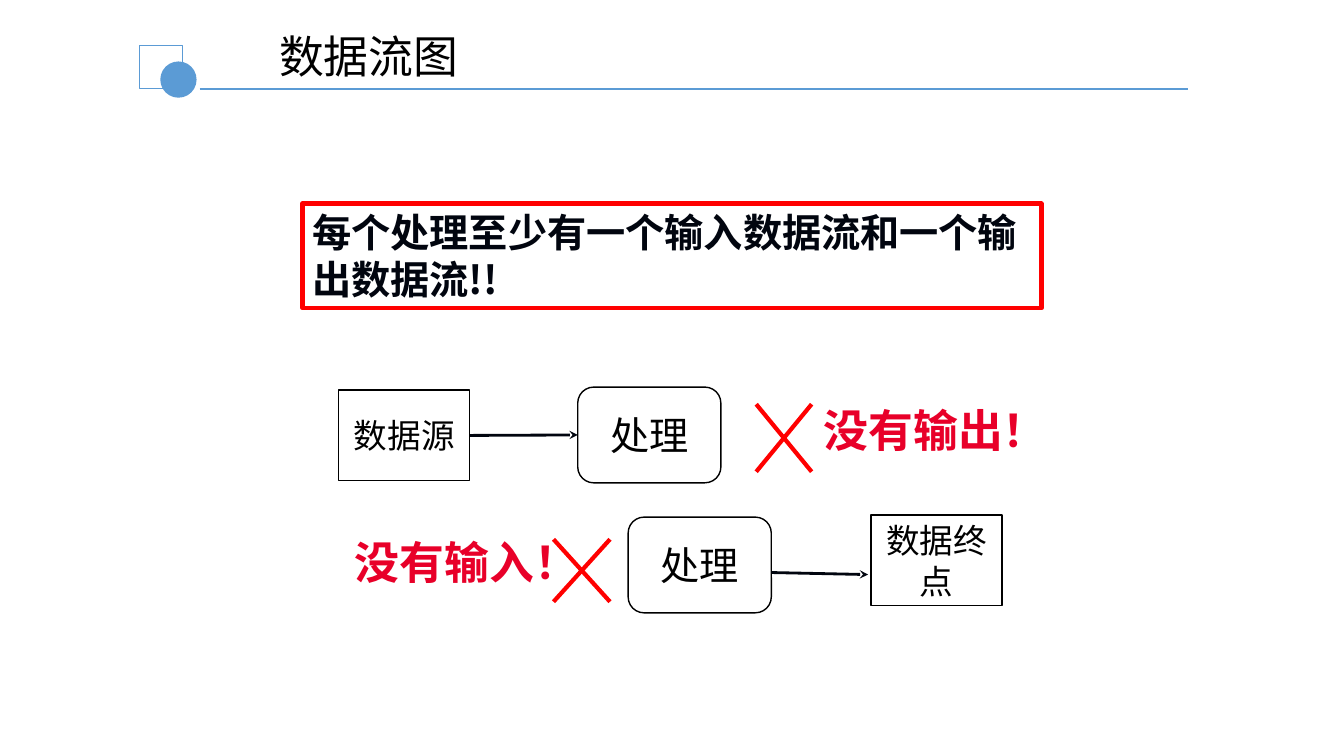
from pptx import Presentation
from pptx import util as u
from pptx.dml.color import RGBColor
from pptx.enum import shapes, text
from pptx.oxml.ns import qn
from lxml import etree

BLACK = RGBColor(0x00, 0x00, 0x00)
INK = RGBColor(0x01, 0x05, 0x0F)
WHITE = RGBColor(0xFF, 0xFF, 0xFF)
RED = RGBColor(0xFF, 0x00, 0x00)
CRIMSON = RGBColor(0xE8, 0x00, 0x29)
BLUE = RGBColor(0x5B, 0x9B, 0xD5)
LATIN, CJK = "Calibri", "Noto Sans CJK SC"
RECT = shapes.MSO_SHAPE.RECTANGLE
ROUNDED = shapes.MSO_SHAPE.ROUNDED_RECTANGLE
OVAL = shapes.MSO_SHAPE.OVAL

PROCESS_W, PROCESS_H = 1.42, 0.95
ENTITY_W, ENTITY_H = 1.3, 0.9


def inches(*values):
    return [u.Inches(v) for v in values]


def write(sp, words, size, color, font=LATIN, bold=False, grow=False):
    tf = sp.text_frame
    tf.word_wrap = True
    if grow:
        tf.auto_size = text.MSO_AUTO_SIZE.SHAPE_TO_FIT_TEXT
    p = tf.paragraphs[0]
    r = p.add_run()
    r.text = words
    r.font.size = u.Pt(size)
    r.font.name = font
    r.font.bold = bold
    r.font.color.rgb = color
    etree.SubElement(r._r.get_or_add_rPr(), qn("a:ea")).set("typeface", CJK)
    return tf


def add_box(s, kind, box, fill=None, line=None, width=1):
    sp = s.shapes.add_shape(kind, *inches(*box))
    sp.shadow.inherit = False
    if fill is None:
        sp.fill.background()
    else:
        sp.fill.solid()
        sp.fill.fore_color.rgb = fill
    if line is None:
        sp.line.fill.background()
    else:
        sp.line.color.rgb = line
        sp.line.width = u.Pt(width)
    return sp


def add_line(s, start, end, color, width, arrow=False):
    line = s.shapes.add_connector(shapes.MSO_CONNECTOR.STRAIGHT,
                                  *inches(*start, *end))
    line.line.color.rgb = color
    line.line.width = u.Pt(width)
    if arrow:
        ln = line.line._get_or_add_ln()
        etree.SubElement(ln, qn("a:tailEnd")).set("type", "stealth")
    etree.SubElement(line._element.spPr, qn("a:effectLst"))
    return line


def add_label(s, box, words, color, **style):
    sp = s.shapes.add_textbox(*inches(*box))
    write(sp, words, 32, color, grow=True, **style)


def add_node(s, kind, box, words, size):
    sp = add_box(s, kind, box, WHITE, BLACK)
    tf = write(sp, words, size, BLACK)
    tf.vertical_anchor = text.MSO_ANCHOR.MIDDLE
    tf.paragraphs[0].alignment = text.PP_ALIGN.CENTER
    return sp


def add_process(s, x, y):
    return add_node(s, ROUNDED, (x, y, PROCESS_W, PROCESS_H), "处理", 28)


def add_entity(s, x, y, words):
    return add_node(s, RECT, (x, y, ENTITY_W, ENTITY_H), words, 24)


def add_cross(s, x, y, w, h):
    add_line(s, (x, y), (x + w, y + h), RED, 3)
    add_line(s, (x + w, y), (x, y + h), RED, 3)


def add_header(s, x, y, w):
    """Title with a square-and-dot emblem over a rule; y is the emblem's top."""
    add_line(s, (x + 0.6, y + 0.43), (x + w, y + 0.43), BLUE, 1.25)
    add_box(s, RECT, (x, y, 0.43, 0.43), line=BLUE, width=0.75)
    add_box(s, OVAL, (x + 0.21, y + 0.16, 0.36, 0.36), fill=BLUE)
    add_label(s, (x + 1.29, y - 0.21, 4.95, 0.65), "数据流图", BLACK)


def add_rule_banner(s, box):
    banner = add_box(s, RECT, box, line=RED, width=3)
    tf = write(banner, "每个处理至少有一个输入数据流和一个输出数据流!!", 28, INK,
               font=CJK, bold=True, grow=True)
    tf.vertical_anchor = text.MSO_ANCHOR.TOP
    tf.paragraphs[0].alignment = text.PP_ALIGN.LEFT


def add_missing_output(s, x, y):
    """Source feeding a process that has no output."""
    source = add_entity(s, x, y + 0.03, "数据源")
    process = add_process(s, x + 2.37, y)
    mid = y + PROCESS_H / 2
    flow = add_line(s, (x + ENTITY_W, mid), (x + 2.37, mid), INK, 2, arrow=True)
    flow.begin_connect(source, 3)
    flow.end_connect(process, 1)
    add_cross(s, x + 4.14, y + 0.17, 0.55, 0.67)
    add_label(s, (x + 4.71, y + 0.11, 2.47, 0.64), "没有输出！", CRIMSON,
              font=CJK, bold=True)


def add_missing_input(s, x, y):
    """Process without input feeding a sink."""
    add_label(s, (x, y + 0.13, 2.57, 0.64), "没有输入！", CRIMSON,
              font=CJK, bold=True)
    add_cross(s, x + 2.07, y + 0.22, 0.56, 0.62)
    add_process(s, x + 2.81, y)
    add_entity(s, x + 5.22, y - 0.02, "数据终点")
    add_line(s, (x + 4.23, y + 0.55), (x + 5.19, y + 0.57), INK, 2, arrow=True)


def main():
    prs = Presentation()
    prs.slide_width, prs.slide_height = inches(13.33, 7.5)
    s = prs.slides.add_slide(prs.slide_layouts[6])
    add_header(s, 1.38, 0.45, 10.4)
    add_rule_banner(s, (3, 2.02, 7.33, 1.04))
    add_missing_output(s, 3.36, 3.84)
    add_missing_input(s, 3.42, 5.13)
    prs.save("out.pptx")


if __name__ == "__main__":
    main()
